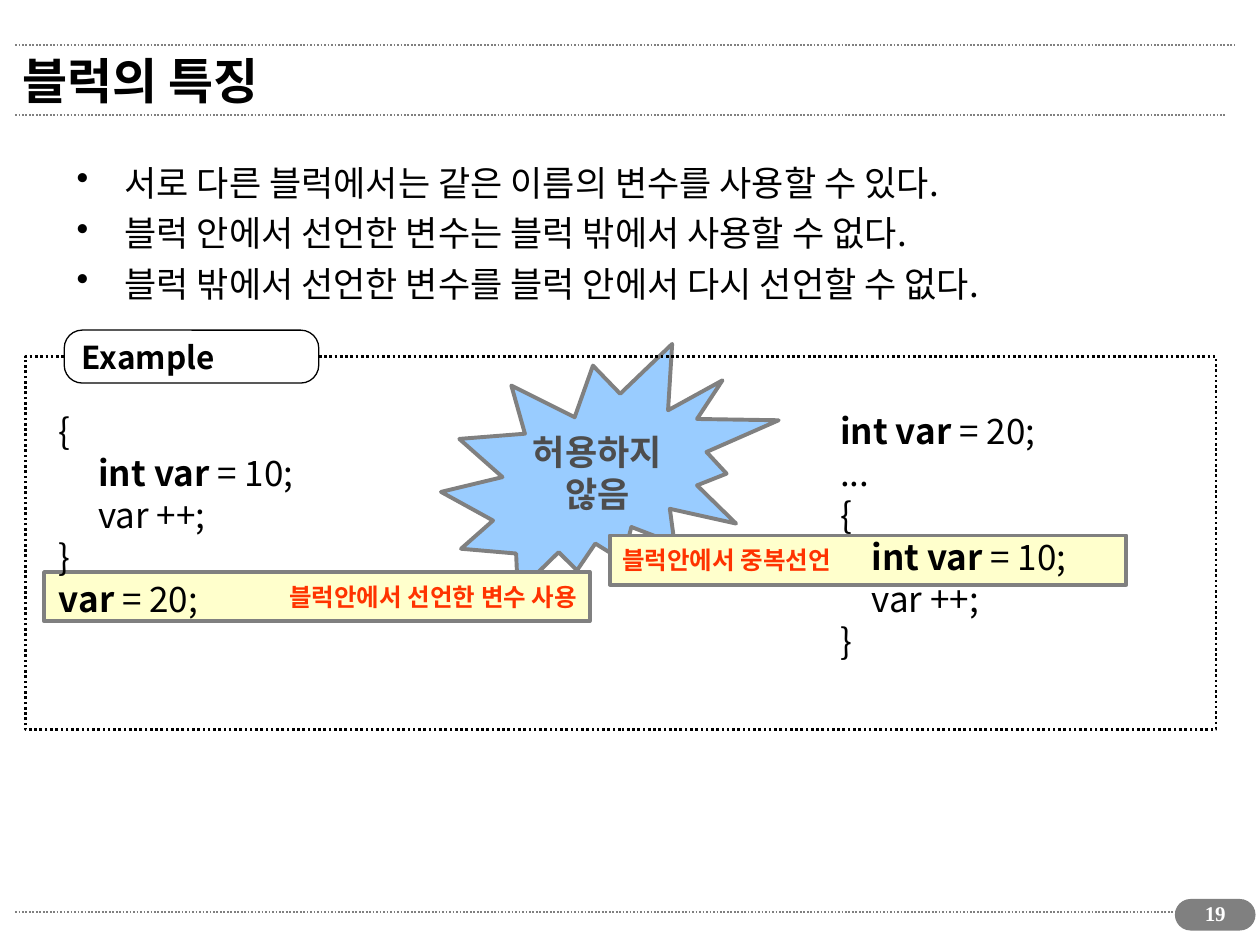
from lxml import etree
from pptx import Presentation
from pptx.dml.color import RGBColor
from pptx.enum.dml import MSO_LINE
from pptx.enum.shapes import MSO_CONNECTOR, MSO_SHAPE
from pptx.enum.text import MSO_ANCHOR, PP_ALIGN
from pptx.oxml.ns import qn
from pptx.util import Inches, Pt

DOTTED = MSO_LINE.ROUND_DOT
STRAIGHT = MSO_CONNECTOR.STRAIGHT
RECTANGLE = MSO_SHAPE.RECTANGLE
ROUNDED = MSO_SHAPE.ROUNDED_RECTANGLE
BURST = MSO_SHAPE.EXPLOSION2
TOP, MIDDLE = MSO_ANCHOR.TOP, MSO_ANCHOR.MIDDLE
LEFT, CENTER, RIGHT = PP_ALIGN.LEFT, PP_ALIGN.CENTER, PP_ALIGN.RIGHT

FONT = "Noto Sans CJK KR"
COLORS = {
    "black": "000000", "white": "FFFFFF", "gray": "808080", "dark": "4D4D4D",
    "blue": "99CCFF", "yellow": "FFFFCC", "red": "FF3300",
}

BULLETS = [
    "서로 다른 블럭에서는 같은 이름의 변수를 사용할 수 있다.",
    "블럭 안에서 선언한 변수는 블럭 밖에서 사용할 수 없다.",
    "블럭 밖에서 선언한 변수를 블럭 안에서 다시 선언할 수 없다.",
]
# Each code line is a list of (text, bold) runs
OUTSIDE_USE = [
    [("{", False)],
    [("     ", False), ("int var", True), (" = 10;", False)],
    [("     var ++;", False)],
    [("}", False)],
    [("var", True), (" = 20;", False)],
]
REDECLARATION = [
    [("int var", True), (" = 20;", False)],
    [("...", False)],
    [("{", False)],
    [("    ", False), ("int var", True), (" = 10;", False)],
    [("    var ++;", False)],
    [("}", False)],
]


def color(name):
    return RGBColor.from_string(COLORS[name])


def add_bullet(paragraph):
    properties = paragraph._p.get_or_add_pPr()
    properties.set("marL", str(Inches(0.38)))
    properties.set("indent", str(-Inches(0.38)))
    etree.SubElement(properties, qn("a:buChar")).set("char", "•")


def write_text(shape, lines, size=20, ink="black", bold=False, font=FONT,
               align=LEFT, anchor=MIDDLE, wrap=True, bullets=False, gap=0):
    """Write lines, each a string or a list of (text, bold) runs."""
    frame = shape.text_frame
    frame.word_wrap = wrap
    frame.vertical_anchor = anchor
    for index, line in enumerate(lines):
        paragraph = frame.add_paragraph() if index else frame.paragraphs[0]
        paragraph.alignment = align
        if bullets:
            add_bullet(paragraph)
        if index and gap:
            paragraph.space_before = Pt(gap)
        runs = [(line, bold)] if isinstance(line, str) else line
        for text, heavy in runs:
            run = paragraph.add_run()
            run.text = text
            run.font.size = Pt(size)
            run.font.bold = heavy
            run.font.color.rgb = color(ink)
            run.font.name = font
            east_asian = etree.SubElement(run._r.get_or_add_rPr(), qn("a:ea"))
            east_asian.set("typeface", font)


def add_rule(slide, y, right):
    rule = slide.shapes.add_connector(
        STRAIGHT, Inches(0.12), Inches(y), Inches(right), Inches(y))
    rule.line.color.rgb = color("gray")
    rule.line.width = Pt(1)
    rule.line.dash_style = DOTTED
    etree.SubElement(rule._element.spPr, qn("a:effectLst"))


def add_box(slide, kind, box, fill=None, line="gray", width=2.25, radius=None):
    shape = slide.shapes.add_shape(kind, *map(Inches, box))
    shape.shadow.inherit = False
    if fill:
        shape.fill.solid()
        shape.fill.fore_color.rgb = color(fill)
    else:
        shape.fill.background()
    shape.line.color.rgb = color(line)
    shape.line.width = Pt(width)
    if radius is not None:
        shape.adjustments[0] = radius
    return shape


def add_text(slide, box, lines, **text_format):
    textbox = slide.shapes.add_textbox(*map(Inches, box))
    write_text(textbox, lines, anchor=TOP, **text_format)


def add_title(slide, text):
    title = slide.shapes.title
    title.left, title.top = Inches(0.08), Inches(0.28)
    title.width, title.height = Inches(9.1), Inches(0.71)
    write_text(title, [text], size=28, bold=True)


def main():
    presentation = Presentation()
    presentation.slide_width, presentation.slide_height = Inches(10), Inches(7.5)
    slide = presentation.slides.add_slide(presentation.slide_layouts[5])

    # Page frame
    for y, right in ((7.24, 9.73), (0.91, 9.72), (0.36, 9.8)):
        add_rule(slide, y, right)
    add_box(slide, ROUNDED, (9.33, 7.14, 0.63, 0.24), "gray", width=0.75, radius=0.5)
    add_text(slide, (9.37, 7.1, 0.55, 0.34), ["19"], size=12, ink="white",
             bold=True, font="Times New Roman", align=CENTER)

    # Title and rules about blocks
    add_title(slide, "블럭의 특징")
    add_text(slide, (0.51, 1.23, 8.98, 1.3), BULLETS, bullets=True, gap=5)

    # Warning burst and highlighted code lines
    burst = add_box(slide, BURST, (3.5, 2.73, 2.68, 1.97), "blue")
    write_text(burst, ["허용하지", "않음"], ink="dark", bold=True,
               align=CENTER, wrap=False)
    for box, note, align in (
        ((4.84, 4.25, 4.1, 0.39), "블럭안에서 중복선언", LEFT),
        ((0.35, 4.54, 4.33, 0.39), "블럭안에서 선언한 변수 사용", RIGHT),
    ):
        highlight = add_box(slide, RECTANGLE, box, "yellow")
        write_text(highlight, [note], size=14, ink="red", bold=True, align=align)

    # Example frame with its label
    frame = add_box(slide, RECTANGLE, (0.2, 2.83, 9.45, 2.96), line="black", width=1.5)
    frame.line.dash_style = DOTTED
    label = add_box(slide, ROUNDED, (0.51, 2.62, 2.02, 0.42), "white",
                    line="black", width=0.75, radius=0.34)
    write_text(label, ["Example"], size=18, bold=True)

    # Code samples
    add_text(slide, (0.37, 3.2, 2.17, 2.1), OUTSIDE_USE)
    add_text(slide, (6.57, 3.2, 2.1, 2.44), REDECLARATION)

    presentation.save("out.pptx")


if __name__ == "__main__":
    main()
